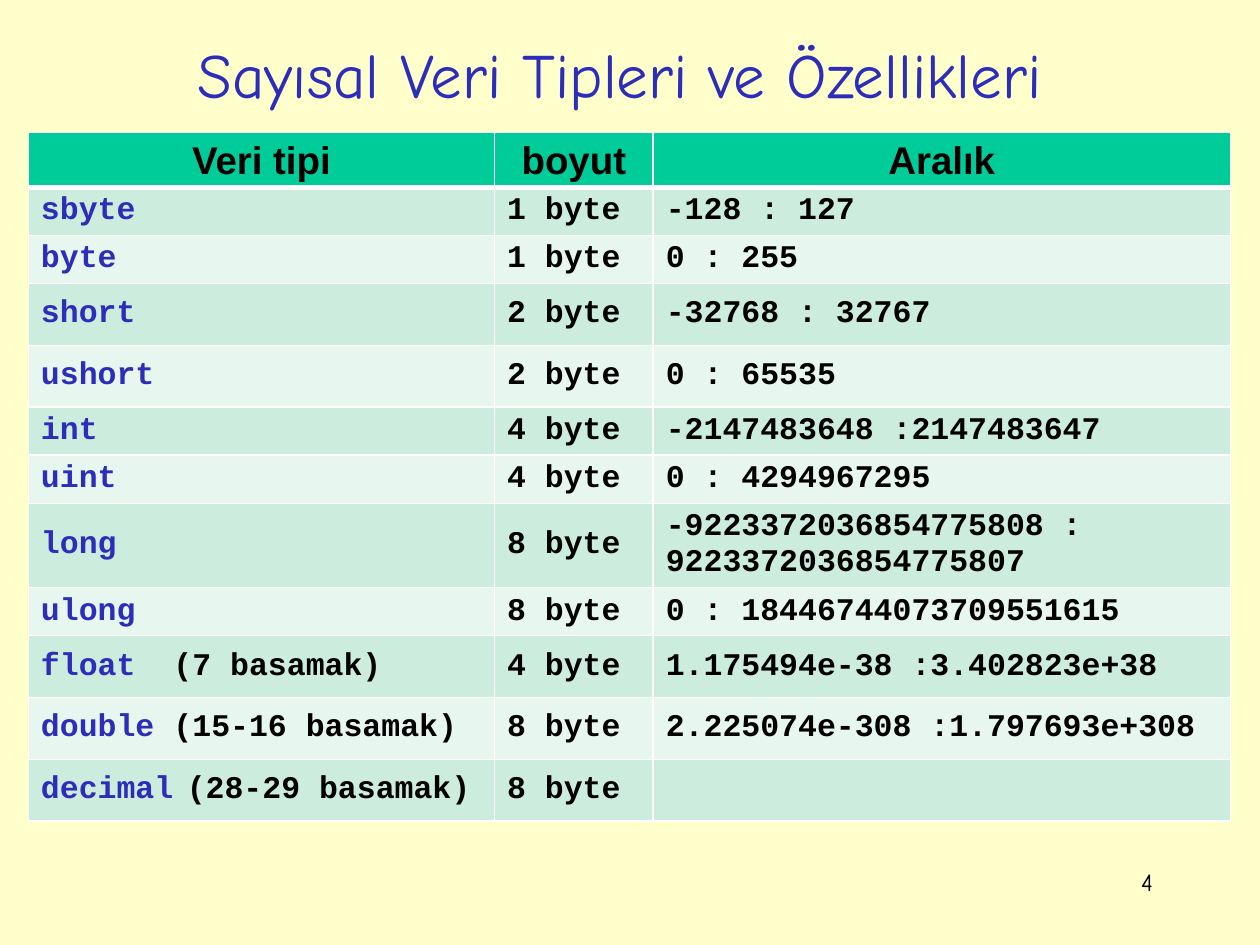
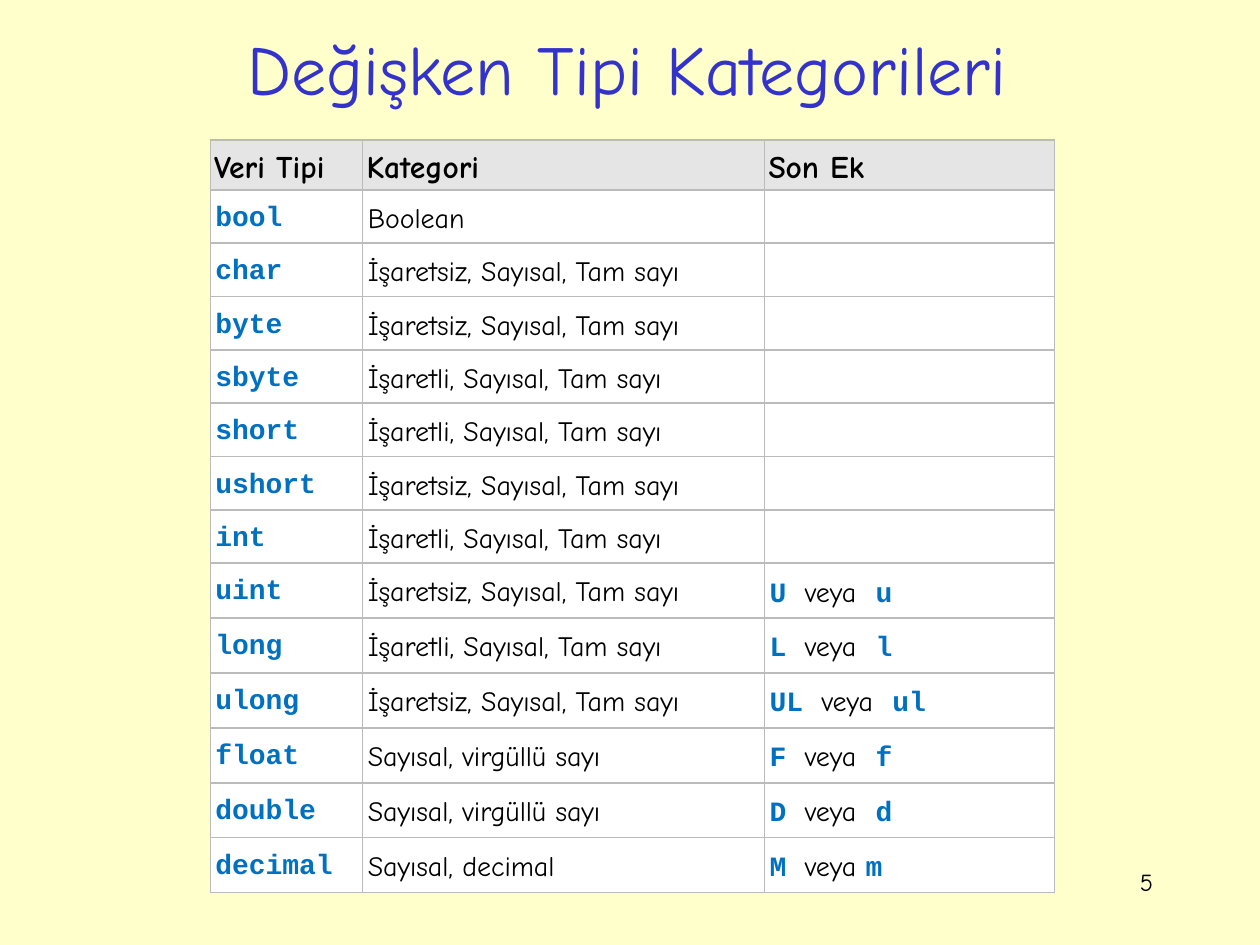
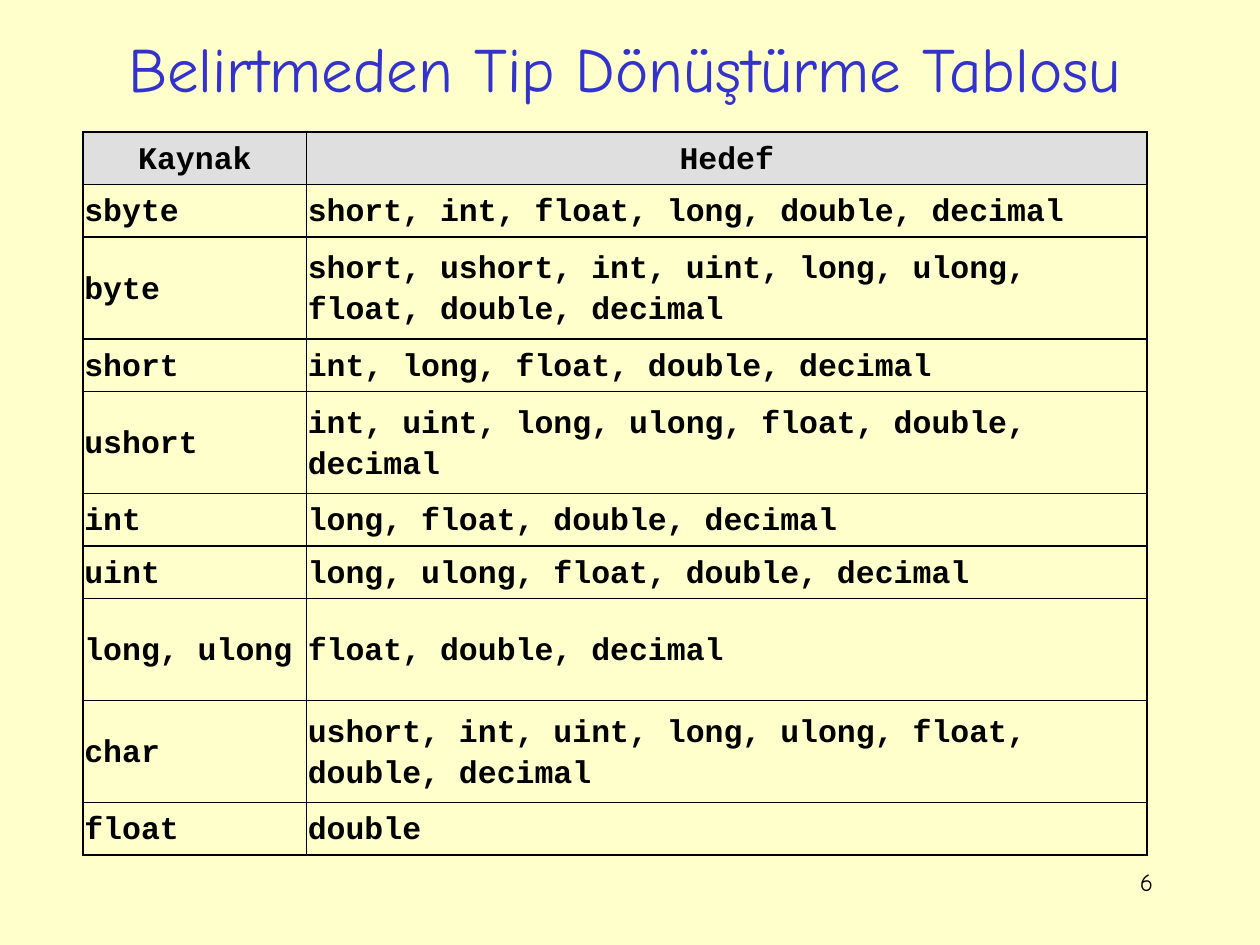
from pptx import Presentation
from pptx.dml.color import RGBColor
from pptx.enum.text import MSO_ANCHOR, MSO_AUTO_SIZE, PP_ALIGN
from pptx.oxml.ns import qn
from pptx.util import Pt
from lxml.etree import SubElement

LEFT, CENTER, RIGHT = PP_ALIGN.LEFT, PP_ALIGN.CENTER, PP_ALIGN.RIGHT
TOP, MIDDLE, BOTTOM = MSO_ANCHOR.TOP, MSO_ANCHOR.MIDDLE, MSO_ANCHOR.BOTTOM
NO_AUTOFIT = MSO_AUTO_SIZE.NONE
TITLE_ONLY = 5
COLORS = {
    "page": "FFFFCC", "navy": "2D2DB9", "indigo": "3333CC", "blue": "0070C0",
    "black": "000000", "white": "FFFFFF", "green": "00CC99",
    "mint": "CCECDE", "pale mint": "E7F6EF", "rule gray": "BBBBBB",
    "light gray": "E5E5E5", "header gray": "DFDFDF",
}
HAND, CODE, SANS = "Comic Neue", "Courier New", "Arial"

STYLES = {
    "range header": (SANS, 22, "black", True),
    "type": (CODE, 18, "navy", True),
    "value": (CODE, 18, "black", True),
    "category header": (HAND, 18, "black", True),
    "keyword": (CODE, 16, "blue", True),
    "category": (HAND, 16, "black", False),
    "page number": (HAND, 14, "black", False),
}

UNSIGNED = "İşaretsiz, Sayısal, Tam sayı"
SIGNED = "İşaretli, Sayısal, Tam sayı"
DECIMAL_POINT = "Sayısal, virgüllü sayı"

RANGE_ROWS = [
    ("sbyte", "", "1 byte", "-128 : 127", 27.5),
    ("byte", "", "1 byte", "0 : 255", 27.5),
    ("short", "", "2 byte", "-32768 : 32767", 35.3),
    ("ushort", "", "2 byte", "0 : 65535", 35.3),
    ("int", "", "4 byte", "-2147483648 :2147483647", 27.5),
    ("uint", "", "4 byte", "0 : 4294967295", 27.5),
    ("long", "", "8 byte", "-9223372036854775808 : 9223372036854775807", 48),
    ("ulong", "", "8 byte", "0 : 18446744073709551615", 27.5),
    ("float", "(7 basamak)", "4 byte", "1.175494e-38 :3.402823e+38", 35.3),
    ("double", "(15-16 basamak)", "8 byte", "2.225074e-308 :1.797693e+308", 35.3),
    ("decimal", "(28-29 basamak)", "8 byte", "", 35.3),
]
CATEGORY_ROWS = [
    ("bool", "Boolean", ""), ("char", UNSIGNED, ""), ("byte", UNSIGNED, ""),
    ("sbyte", SIGNED, ""), ("short", SIGNED, ""), ("ushort", UNSIGNED, ""),
    ("int", SIGNED, ""), ("uint", UNSIGNED, "U"), ("long", SIGNED, "L"),
    ("ulong", UNSIGNED, "UL"), ("float", DECIMAL_POINT, "F"),
    ("double", DECIMAL_POINT, "D"), ("decimal", "Sayısal, decimal", "M"),
]
CONVERSION_ROWS = [
    ("sbyte", "short, int, float, long, double, decimal", 30),
    ("byte", "short, ushort, int, uint, long, ulong, float, double, decimal", 58.3),
    ("short", "int, long, float, double, decimal", 30),
    ("ushort", "int, uint, long, ulong, float, double, decimal", 58.3),
    ("int", "long, float, double, decimal", 30),
    ("uint", "long, ulong, float, double, decimal", 30),
    ("long, ulong", "float, double, decimal", 58.3),
    ("char", "ushort, int, uint, long, ulong, float, double, decimal", 58.3),
    ("float", "double", 30),
]


def rgb(color):
    return RGBColor.from_string(COLORS[color])


def add_span(para, text, style):
    span = para.add_run()
    span.text = text
    font = span.font
    font.name, size, color, font.bold = style
    font.size = Pt(size)
    font.color.rgb = rgb(color)


def add_page(deck, title, number, frame, size, color):
    page = deck.slides.add_slide(deck.slide_layouts[TITLE_ONLY])
    box = page.shapes.title
    box.left, box.top, box.width, box.height = (Pt(value) for value in frame)
    box.text_frame.auto_size = NO_AUTOFIT
    box.text_frame.vertical_anchor = MIDDLE
    para = box.text_frame.paragraphs[0]
    para.alignment = CENTER
    add_span(para, title, (HAND, size, color, False))

    box = page.shapes.add_textbox(Pt(516), Pt(492), Pt(150), Pt(36))
    box.text_frame.word_wrap = True
    para = box.text_frame.paragraphs[0]
    para.alignment = RIGHT
    add_span(para, str(number), STYLES["page number"])
    return page


def add_grid(page, left, top, widths, heights):
    frame = page.shapes.add_table(len(heights), len(widths), Pt(left), Pt(top),
                                  Pt(sum(widths)), Pt(sum(heights)))
    table = frame.table
    table.first_row = table.horz_banding = False
    for column, width in zip(table.columns, widths):
        column.width = Pt(width)
    for row, height in zip(table.rows, heights):
        row.height = Pt(height)
    return table


def set_borders(cell, color, widths):
    properties = cell._tc.get_or_add_tcPr()
    for side, width in zip("LRTB", widths):
        line = SubElement(properties, qn(f"a:ln{side}"), w=str(Pt(width)))
        fill = SubElement(line, qn("a:solidFill"))
        SubElement(fill, qn("a:srgbClr"), val=COLORS[color])


def set_tabs(para, stops):
    tabs = SubElement(para._p.get_or_add_pPr(), qn("a:tabLst"))
    for stop in stops:
        SubElement(tabs, qn("a:tab"), pos=str(Pt(stop)), algn="l")


def fill_cell(cell, spans, border, fill=None, borders=(1, 1, 1, 1), align=LEFT,
              anchor=MIDDLE, insets=(7.2, 2.5, 2.5), spacing=None, tabs=()):
    set_borders(cell, border, borders)
    if fill:
        cell.fill.solid()
        cell.fill.fore_color.rgb = rgb(fill)
    else:
        cell.fill.background()
    cell.vertical_anchor = anchor
    side, above, below = insets
    cell.margin_left = cell.margin_right = Pt(side)
    cell.margin_top, cell.margin_bottom = Pt(above), Pt(below)
    para = cell.text_frame.paragraphs[0]
    para.alignment = align
    if spacing:
        para.line_spacing = spacing
    if tabs:
        set_tabs(para, tabs)
    for text, style in spans:
        if text:
            add_span(para, text, STYLES[style])


def add_range_table(page):
    heights = [31.2] + [row[-1] for row in RANGE_ROWS]
    table = add_grid(page, 16.2, 75.6, [266.4, 90.7, 329.8], heights)
    for column, text in enumerate(("Veri tipi", "boyut", "Aralık")):
        fill_cell(table.cell(0, column), [(text, "range header")], "white", "green",
                  borders=(1, 1, 1, 3), align=CENTER, anchor=BOTTOM)
    for row, (name, digits, size, limits, _) in enumerate(RANGE_ROWS, 1):
        fill = "mint" if row % 2 else "pale mint"
        name_spans, tabs = [(name, "type")], ()
        if digits:
            name_spans.append(("\t" + digits, "value"))
            tabs = [83.3 if name == "decimal" else 75.7]
        fill_cell(table.cell(row, 0), name_spans, "white", fill, tabs=tabs)
        for column, text in enumerate((size, limits), 1):
            fill_cell(table.cell(row, column), [(text, "value")], "white", fill)


def suffix_spans(suffix):
    if not suffix:
        return []
    gap = " " if suffix == "M" else "\t"
    return [(suffix, "keyword"), ("\tveya" + gap, "category"),
            (suffix.lower(), "keyword")]


def add_category_table(page):
    heights = [28.5] + [31.4 if suffix else 30.5 for _, _, suffix in CATEGORY_ROWS]
    table = add_grid(page, 120.2, 80, [87.1, 229.7, 165.6], heights)
    for column, text in enumerate(("Veri Tipi", "Kategori", "Son Ek")):
        fill_cell(table.cell(0, column), [(text, "category header")], "rule gray",
                  "light gray", insets=(2.2, 2, 1.4), spacing=1.15)
    for row, (name, category, suffix) in enumerate(CATEGORY_ROWS, 1):
        first_stop = 10.4 + 9.6 * len(suffix)
        contents = [[(name, "keyword")], [(category, "category")], suffix_spans(suffix)]
        for column, spans in enumerate(contents):
            tabs = [first_stop, first_stop + 40.5] if column == 2 and suffix else ()
            fill_cell(table.cell(row, column), spans, "rule gray", "white",
                      anchor=TOP, insets=(2.9, 5, 2.8), spacing=1.15, tabs=tabs)


def add_conversion_table(page):
    rows = [("Kaynak", "Hedef", 30)] + CONVERSION_ROWS
    table = add_grid(page, 47.5, 75.5, [127.7, 480.2], [row[-1] for row in rows])
    for row, (source, targets, _) in enumerate(rows):
        for column, text in enumerate((source, targets)):
            fill_cell(table.cell(row, column), [(text, "value")], "black",
                      None if row else "header gray", align=LEFT if row else CENTER,
                      insets=(0.7, 0.7, 0.7), spacing=1.15)


def main():
    deck = Presentation()
    deck.slide_width, deck.slide_height = Pt(720), Pt(540)
    background = deck.slide_master.background.fill
    background.solid()
    background.fore_color.rgb = rgb("page")

    add_range_table(add_page(deck, "Sayısal Veri Tipleri ve Özellikleri", 4,
                             (48, 20.7, 612, 42.5), 36, "navy"))
    add_category_table(add_page(deck, "Değişken Tipi Kategorileri", 5,
                                (52.2, 11, 612, 54.7), 40, "indigo"))
    add_conversion_table(add_page(deck, "Belirtmeden Tip Dönüştürme Tablosu", 6,
                                  (34.2, 11, 645, 54.7), 36, "indigo"))
    deck.save("out.pptx")


if __name__ == "__main__":
    main()
